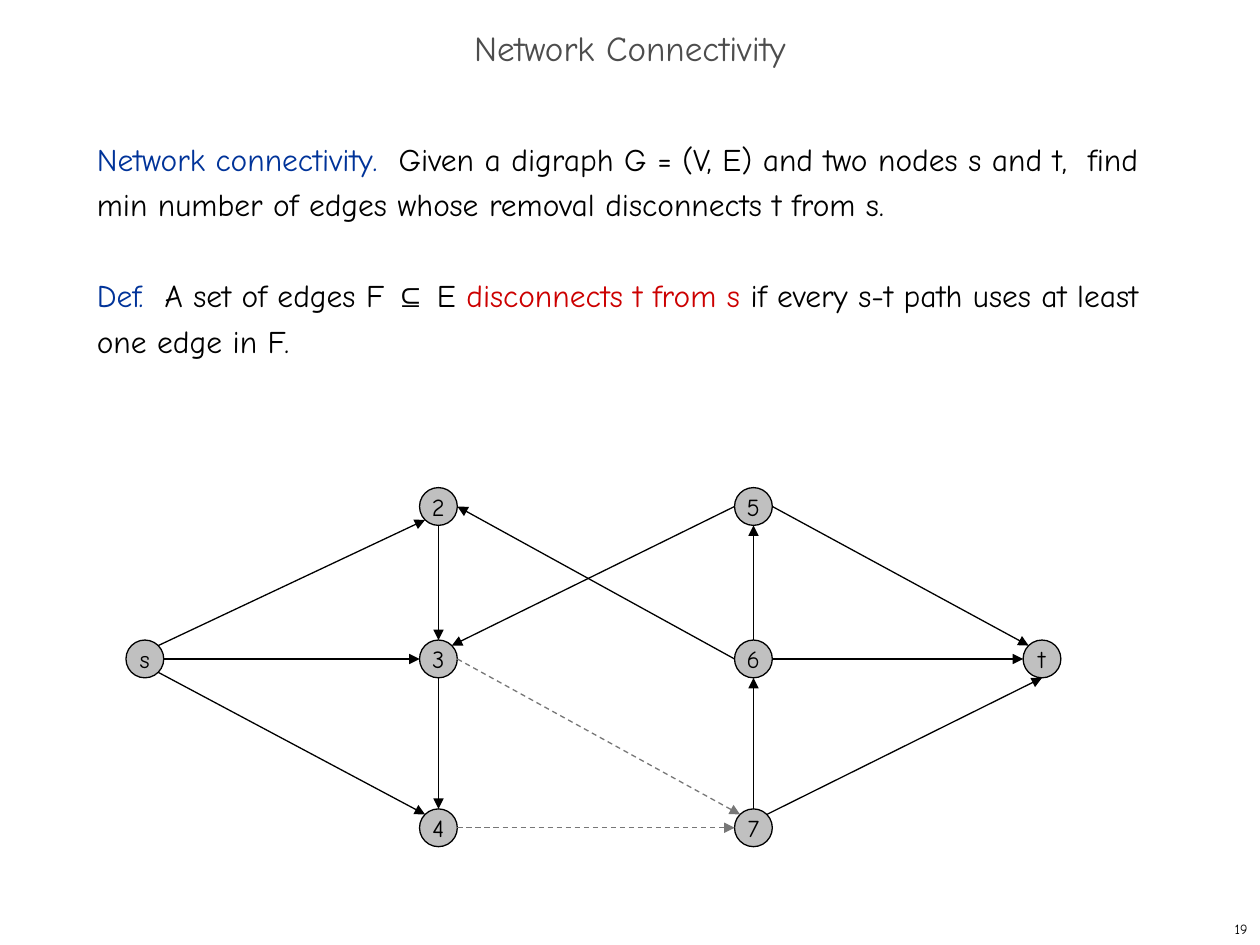
from lxml import etree
from pptx import Presentation
from pptx import util as u
from pptx.dml.color import RGBColor
from pptx.enum import dml, shapes, text
from pptx.oxml import ns

BLACK = RGBColor(0x00, 0x00, 0x00)
BLUE = RGBColor(0x00, 0x33, 0x99)
RED = RGBColor(0xCC, 0x00, 0x00)
TITLE_GRAY = RGBColor(0x4D, 0x4D, 0x4D)
NODE_GRAY = RGBColor(0xC0, 0xC0, 0xC0)
EDGE_GRAY = RGBColor(0x77, 0x77, 0x77)
FONT, SYMBOL_FONT = "Comic Neue", "Arial"

# Content: each paragraph is a list of (text, colour, font)
TITLE = [[("Network Connectivity", TITLE_GRAY, FONT)]]
PAGE_NUMBER = [[("19", BLACK, FONT)]]
BODY = [
    [("Network connectivity.  ", BLUE, FONT),
     ("Given a digraph G = (V, E) and two nodes s and t,  find min number of "
      "edges whose removal disconnects t from s.", BLACK, FONT)],
    [("Def.  ", BLUE, FONT),
     ("A set of edges F ", BLACK, FONT),
     ("⊆", BLACK, SYMBOL_FONT),
     (" E ", BLACK, FONT),
     ("disconnects t from s", RED, FONT),
     (" if every s-t path uses at least one edge in F.", BLACK, FONT)],
]

# Graph: node -> (column, row); edge -> (from, side, to, side)
COLUMNS = (1.15, 3.48, 5.98, 8.27)
ROWS = (4.02, 5.23, 6.57)
DIAMETER = 0.3
NODES = {"s": (0, 1), "2": (1, 0), "3": (1, 1), "4": (1, 2),
         "5": (2, 0), "6": (2, 1), "7": (2, 2), "t": (3, 1)}
EDGES = [
    ("s", "NE", "2", "SW"), ("s", "E", "3", "W"), ("s", "SE", "4", "NW"),
    ("2", "S", "3", "N"), ("3", "S", "4", "N"),
    ("7", "N", "6", "S"), ("6", "N", "5", "S"),
    ("5", "W", "3", "NE"), ("6", "W", "2", "E"),
    ("5", "E", "t", "NW"), ("6", "E", "t", "W"), ("7", "NE", "t", "S"),
]
REMOVED_EDGES = [("3", "E", "7", "NW"), ("4", "E", "7", "W")]


def set_format(target, values):
    for name, value in values.items():
        setattr(target, name, value)


def write(box, paragraphs, size, frame_format, para_format):
    frame = box.text_frame
    set_format(frame, frame_format)
    for index, runs in enumerate(paragraphs):
        para = frame.add_paragraph() if index else frame.paragraphs[0]
        set_format(para, para_format)
        if index:
            para.space_before = u.Pt(26)
        for words, color, font in runs:
            span = para.add_run()
            span.text = words
            set_format(span.font, {"size": u.Pt(size), "name": font})
            span.font.color.rgb = color


def add_text(page, place, *content):
    write(page.shapes.add_textbox(*map(u.Inches, place)), *content)


def center(node):
    column, row = NODES[node]
    return COLUMNS[column], ROWS[row]


def rim_point(node, side):
    """Point on a node's circle in a compass direction."""
    x, y = center(node)
    dx = ("E" in side) - ("W" in side)
    dy = ("S" in side) - ("N" in side)
    reach = DIAMETER / 2 / (dx * dx + dy * dy) ** 0.5
    return u.Inches(x + dx * reach), u.Inches(y + dy * reach)


def add_node(page, label):
    x, y = center(label)
    node = page.shapes.add_shape(
        shapes.MSO_SHAPE.OVAL, u.Inches(x - DIAMETER / 2),
        u.Inches(y - DIAMETER / 2), u.Inches(DIAMETER), u.Inches(DIAMETER))
    node.shadow.inherit = False
    node.fill.solid()
    node.fill.fore_color.rgb = NODE_GRAY
    node.line.color.rgb = BLACK
    node.line.width = u.Pt(0.75)
    write(node, [[(label, BLACK, FONT)]], 14,
          {"word_wrap": False, "vertical_anchor": text.MSO_ANCHOR.MIDDLE},
          {"alignment": text.PP_ALIGN.CENTER})


def add_edge(page, edge, color, dash=None):
    start, start_side, end, end_side = edge
    arrow = page.shapes.add_connector(
        shapes.MSO_CONNECTOR.STRAIGHT,
        *rim_point(start, start_side), *rim_point(end, end_side))
    arrow.line.color.rgb = color
    arrow.line.width = u.Pt(0.75)
    if dash:
        arrow.line.dash_style = dash
    properties = arrow.element.spPr
    etree.SubElement(properties.find(ns.qn("a:ln")), ns.qn("a:tailEnd"),
                     type="triangle")
    etree.SubElement(properties, ns.qn("a:effectLst"))


def main():
    deck = Presentation()
    deck.slide_width, deck.slide_height = u.Inches(10), u.Inches(7.5)
    page = deck.slides.add_slide(deck.slide_layouts[6])

    # Page number, body and title
    middle = {"word_wrap": True, "vertical_anchor": text.MSO_ANCHOR.MIDDLE}
    add_text(page, (7.92, 7.25, 2.08, 0.25), PAGE_NUMBER, 8, middle,
             {"alignment": text.PP_ALIGN.RIGHT})
    add_text(page, (0.67, 1, 8.58, 5.92), BODY, 18, {"word_wrap": True},
             {"line_spacing": u.Pt(26)})
    add_text(page, (0, 0.17, 10, 0.5), TITLE, 20, middle,
             {"alignment": text.PP_ALIGN.CENTER, "line_spacing": 0.7})

    # Graph
    for label in NODES:
        add_node(page, label)
    for edge in EDGES:
        add_edge(page, edge, BLACK)
    for edge in REMOVED_EDGES:
        add_edge(page, edge, EDGE_GRAY, dml.MSO_LINE.DASH)

    deck.save("out.pptx")


if __name__ == "__main__":
    main()
